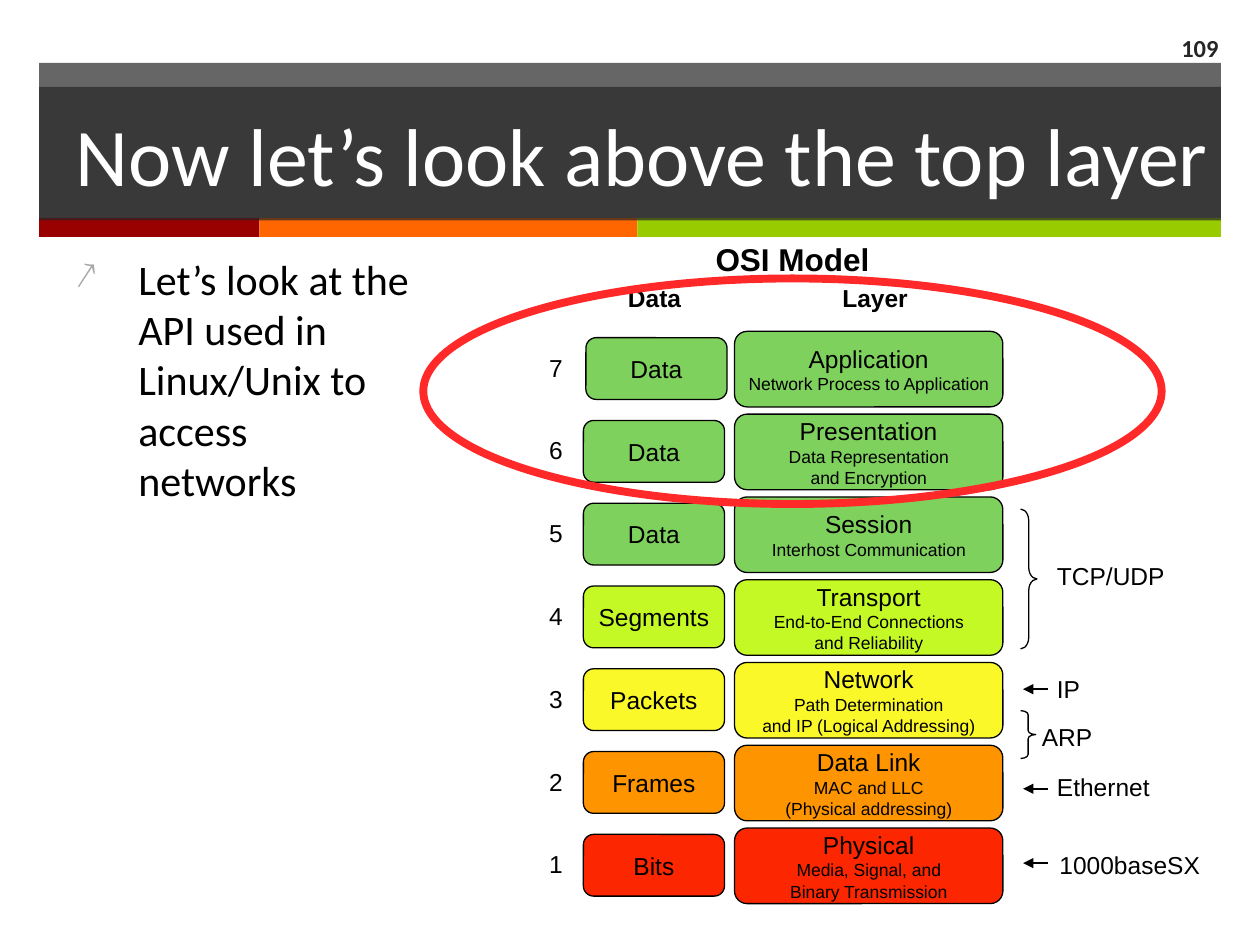
from dataclasses import dataclass

import lxml.etree
import pptx
import pptx.dml.color
import pptx.enum.shapes
import pptx.enum.text
import pptx.oxml.ns
import pptx.util

Inches = pptx.util.Inches
Pt = pptx.util.Pt
SHAPE = pptx.enum.shapes.MSO_SHAPE
ALIGN = pptx.enum.text.PP_ALIGN
ANCHOR = pptx.enum.text.MSO_ANCHOR

COLORS = {
    "charcoal": "262626", "maroon": "990000", "flame": "FF6600", "lime": "99CC00",
    "green": "7FD15E", "chartreuse": "C4F926", "yellow": "FBF82A",
    "orange": "FE9500", "red": "FC2600", "highlight": "FF2929",
    "black": "000000", "white": "FFFFFF", "bullet": "A6A6A6",
}
HEADING = {"name": "Calibri", "size": Pt(46.8)}
BODY = {"name": "Calibri", "size": Pt(24)}
PAGE = {"name": "Calibri", "size": Pt(14), "bold": True}
MODEL_TITLE = {"name": "Arial", "size": Pt(18), "bold": True}
COLUMN_HEAD = {"name": "Arial", "size": Pt(14), "bold": True}
LABEL = {"name": "Arial", "size": Pt(14)}
DETAIL = {"name": "Arial", "size": Pt(10)}
FIRST_ROW, ROW_STEP = 2.63, 0.657


@dataclass
class Layer:
    number: int
    unit: str
    name: str
    details: list[str]
    color: str


@dataclass
class Box:
    left: float
    top: float
    width: float
    height: float

    def lengths(self) -> list[int]:
        return [Inches(v) for v in (self.left, self.top, self.width, self.height)]


@dataclass
class Protocol:
    name: str
    box: Box


LAYERS = [
    Layer(7, "Data", "Application", ["Network Process to Application"], "green"),
    Layer(6, "Data", "Presentation", ["Data Representation", "and Encryption"], "green"),
    Layer(5, "Data", "Session", ["Interhost Communication"], "green"),
    Layer(4, "Segments", "Transport", ["End-to-End Connections", "and Reliability"], "chartreuse"),
    Layer(3, "Packets", "Network", ["Path Determination", "and IP (Logical Addressing)"], "yellow"),
    Layer(2, "Frames", "Data Link", ["MAC and LLC", "(Physical addressing)"], "orange"),
    Layer(1, "Bits", "Physical", ["Media, Signal, and", "Binary Transmission"], "red"),
]
PROTOCOLS = [
    Protocol("TCP/UDP", Box(8.29, 4.4, 1.06, 0.34)),
    Protocol("IP", Box(8.29, 5.3, 0.39, 0.33)),
    Protocol("ARP", Box(8.17, 5.68, 0.6, 0.33)),
    Protocol("Ethernet", Box(8.29, 6.08, 0.94, 0.33)),
    Protocol("1000baseSX", Box(8.31, 6.7, 1.31, 0.33)),
]


def rgb(color: str) -> pptx.dml.color.RGBColor:
    return pptx.dml.color.RGBColor.from_string(COLORS[color])


def add_xml(parent, tag: str, **attributes: str):
    return lxml.etree.SubElement(parent, pptx.oxml.ns.qn(tag), attributes)


def paint(shape, color: str, opacity: int = 100) -> None:
    shape.fill.solid()
    shape.fill.fore_color.rgb = rgb(color)
    if opacity < 100:
        fill_color = shape.fill._xPr.find(".//" + pptx.oxml.ns.qn("a:srgbClr"))
        add_xml(fill_color, "a:alpha", val=str(opacity * 1000))


def write(shape, lines: list[tuple[str, dict]], align=ALIGN.LEFT, anchor=ANCHOR.TOP,
          color: str = "black", wrap: bool = True) -> None:
    frame = shape.text_frame
    for key, value in {"word_wrap": wrap, "vertical_anchor": anchor,
                       "auto_size": pptx.enum.text.MSO_AUTO_SIZE.NONE}.items():
        setattr(frame, key, value)
    for index, (text, style) in enumerate(lines):
        paragraph = frame.add_paragraph() if index else frame.paragraphs[0]
        paragraph.alignment = align
        run = paragraph.add_run()
        run.text = text
        for key, value in style.items():
            setattr(run.font, key, value)
        run.font.color.rgb = rgb(color)


def add_text(slide, box: Box, text: str, style: dict, **options):
    label = slide.shapes.add_textbox(*box.lengths())
    write(label, [(text, style)], **options)
    return label


def add_outline(slide, kind, box: Box, color: str = "black", weight: float = 0.75):
    shape = slide.shapes.add_shape(kind, *box.lengths())
    shape.shadow.inherit = False
    shape.fill.background()
    shape.line.color.rgb = rgb(color)
    shape.line.width = Pt(weight)
    return shape


def add_bar(slide, box: Box, color: str, opacity: int = 100) -> None:
    bar = add_outline(slide, SHAPE.RECTANGLE, box)
    paint(bar, color, opacity)
    bar.line.fill.background()


def add_card(slide, box: Box, color: str, lines: list[tuple[str, dict]]) -> None:
    card = add_outline(slide, SHAPE.ROUNDED_RECTANGLE, box)
    paint(card, color)
    write(card, lines, align=ALIGN.CENTER, anchor=ANCHOR.MIDDLE, wrap=False)


def add_layer(slide, row: int, layer: Layer) -> None:
    top = FIRST_ROW + row * ROW_STEP
    unit_left = 4.63 if row else 4.65
    add_card(slide, Box(unit_left, top + 0.05, 1.12, 0.49), layer.color, [(layer.unit, LABEL)])
    lines = [(layer.name, LABEL)] + [(detail, DETAIL) for detail in layer.details]
    add_card(slide, Box(5.83, top, 2.13, 0.6), layer.color, lines)
    add_text(slide, Box(4.26, top + 0.12, 0.31, 0.33), str(layer.number), LABEL)


def add_pointer(slide, y: float) -> None:
    pointer = slide.shapes.add_connector(
        pptx.enum.shapes.MSO_CONNECTOR.STRAIGHT, Inches(8.12), Inches(y), Inches(8.32), Inches(y))
    pointer.line.color.rgb = rgb("black")
    pointer.line.width = Pt(1)
    add_xml(pointer.line._get_or_add_ln(), "a:headEnd", type="triangle")
    add_xml(pointer._element.spPr, "a:effectLst")


def add_brace(slide, box: Box, curl: float) -> None:
    brace = add_outline(slide, SHAPE.RIGHT_BRACE, box)
    brace.adjustments[0] = curl


def add_title(slide, text: str) -> None:
    title = slide.shapes.title
    slide.shapes._spTree.append(title._element)
    title.left, title.top, title.width, title.height = Box(0.31, 0.69, 9.38, 1.06).lengths()
    paint(title, "charcoal", 70)
    write(title, [(text, HEADING)], align=ALIGN.RIGHT, anchor=ANCHOR.MIDDLE, color="white")


def add_bullet(slide, box: Box, text: str) -> None:
    point = add_text(slide, box, text, BODY)
    properties = point.text_frame.paragraphs[0]._p.get_or_add_pPr()
    properties.set("marL", str(Inches(0.5)))
    properties.set("indent", str(Inches(-0.5)))
    add_xml(add_xml(properties, "a:buClr"), "a:srgbClr", val=COLORS["bullet"])
    add_xml(properties, "a:buSzPct", val="90000")
    add_xml(properties, "a:buChar", char="↗")


def main() -> None:
    deck = pptx.Presentation()
    deck.slide_width, deck.slide_height = Inches(10), Inches(7.5)
    slide = deck.slides.add_slide(deck.slide_layouts[5])

    add_bar(slide, Box(0.31, 0.5, 9.38, 1.24), "charcoal", 70)
    left = 0.31
    for color, width in (("maroon", 1.75), ("flame", 3), ("lime", 4.63)):
        add_bar(slide, Box(left, 1.73, width, 0.15), color)
        left += width
    add_title(slide, "Now let’s look above the top layer")
    add_bullet(slide, Box(0.5, 1.96, 2.87, 5.46),
               "Let’s look at the API used in Linux/Unix to access networks")

    for row, layer in enumerate(LAYERS):
        add_layer(slide, row, layer)
    add_text(slide, Box(4.65, 2.2, 1.09, 0.34), "Data", COLUMN_HEAD, align=ALIGN.CENTER)
    add_text(slide, Box(5.94, 2.2, 2.01, 0.34), "Layer", COLUMN_HEAD, align=ALIGN.CENTER)

    for protocol in PROTOCOLS:
        add_text(slide, protocol.box, protocol.name, LABEL, wrap=False)
    for y in (5.47, 6.26, 6.85):
        add_pointer(slide, y)
    add_brace(slide, Box(8.1, 4.04, 0.13, 1.11), 0.71)
    add_brace(slide, Box(8.1, 5.64, 0.12, 0.38), 0.27)

    add_text(slide, Box(4.4, 1.86, 3.78, 0.4), "OSI Model", MODEL_TITLE, align=ALIGN.CENTER)
    add_text(slide, Box(9.08, 0.18, 0.69, 0.39), "109", PAGE, align=ALIGN.RIGHT,
             anchor=ANCHOR.MIDDLE, color="charcoal")
    add_outline(slide, SHAPE.OVAL, Box(3.36, 2.21, 5.86, 1.79), "highlight", 4.5)
    deck.save("out.pptx")


if __name__ == "__main__":
    main()
